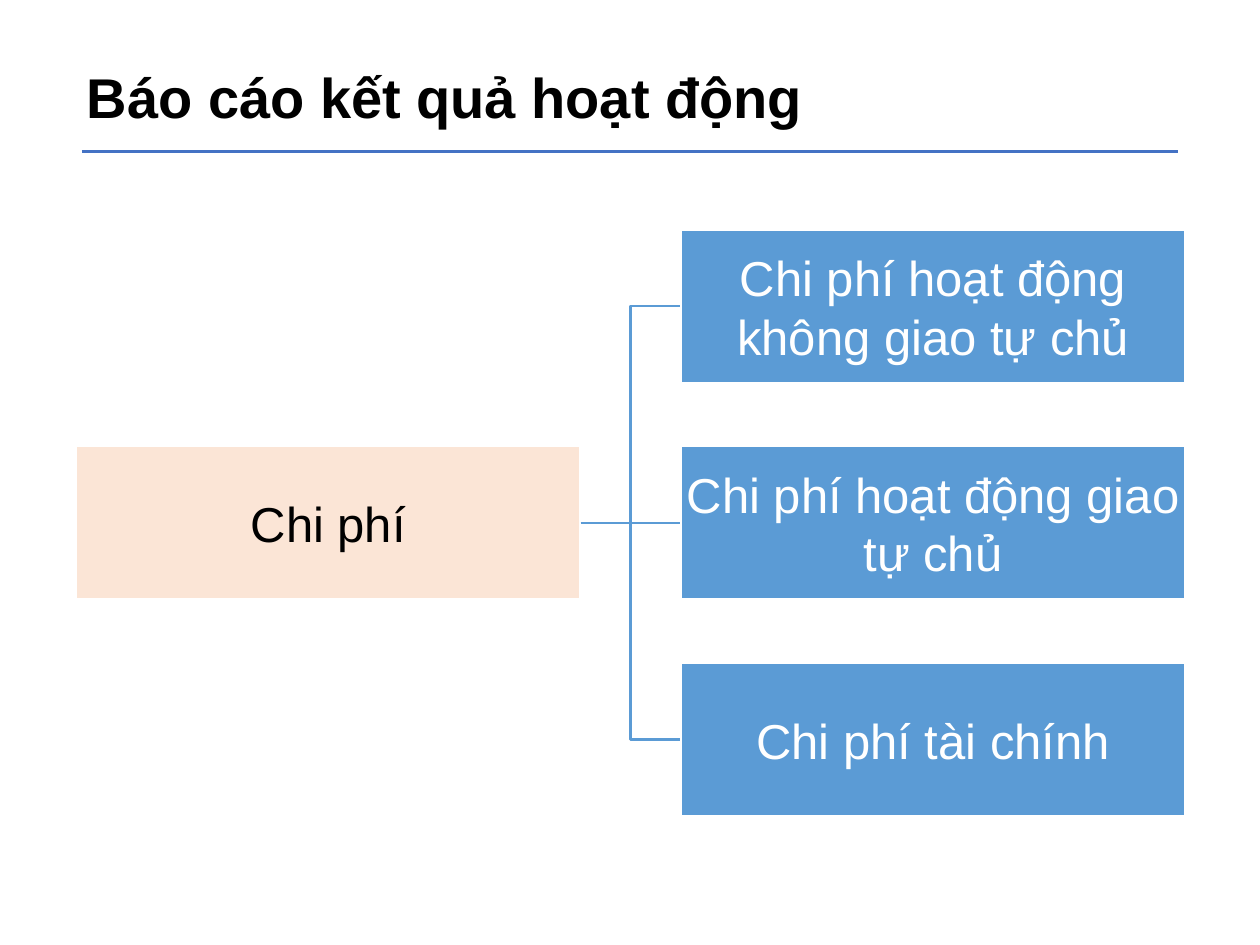
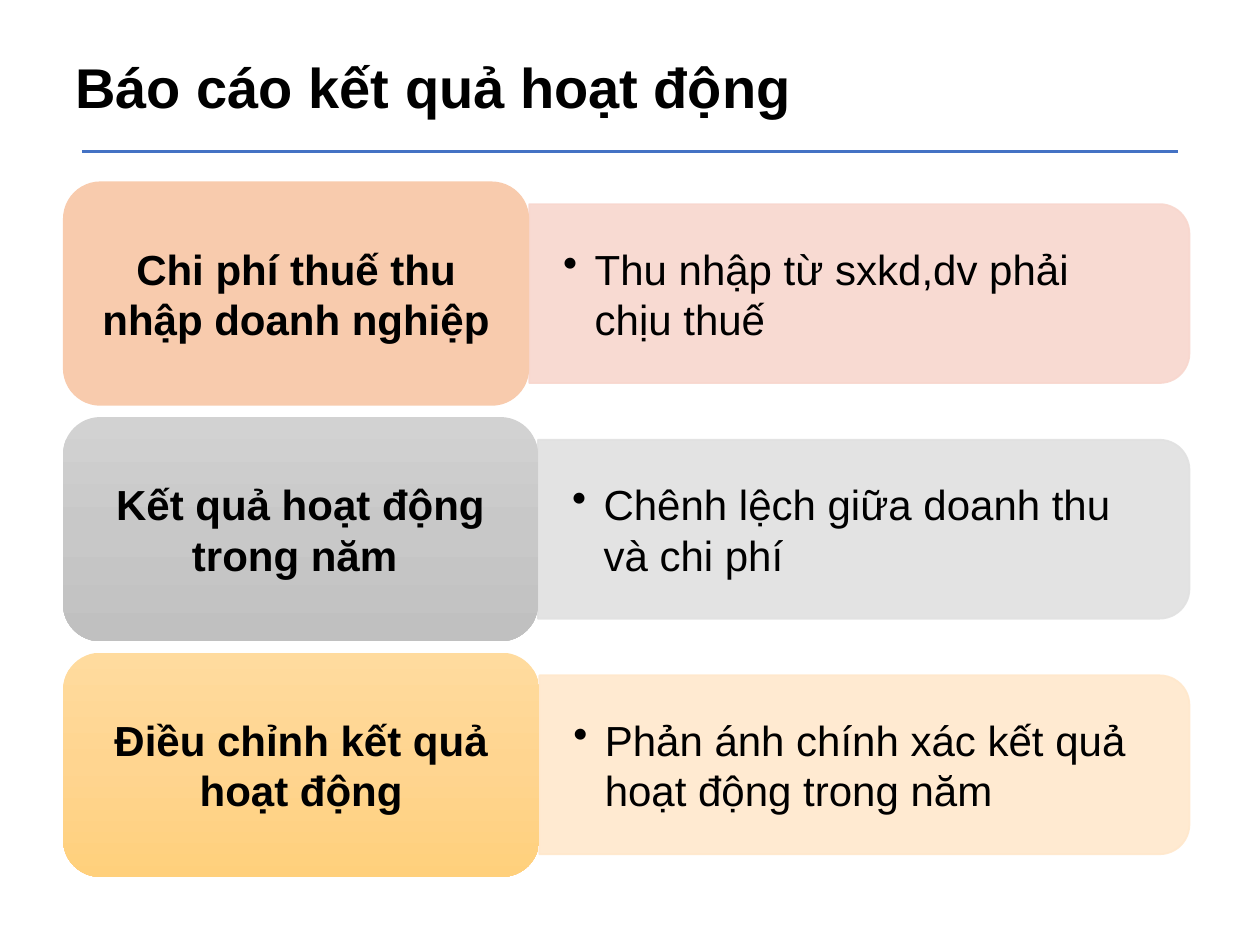
import copy
from dataclasses import dataclass

import pptx
import pptx.dml.color
import pptx.enum.shapes
import pptx.enum.text
import pptx.oxml
import pptx.oxml.ns
import pptx.util

Inches = pptx.util.Inches
Pt = pptx.util.Pt
Shape = pptx.enum.shapes.MSO_SHAPE
Connector = pptx.enum.shapes.MSO_CONNECTOR
Align = pptx.enum.text.PP_ALIGN
Anchor = pptx.enum.text.MSO_ANCHOR
qn = pptx.oxml.ns.qn


@dataclass(frozen=True)
class Theme:
    font: str = "Arial"
    ink: str = "000000"
    white: str = "FFFFFF"
    rule: str = "4472C4"
    branch: str = "5B9BD5"
    root: str = "FBE5D6"
    title_size: int = 32
    branch_size: int = 28
    row_size: int = 24
    line_width: float = 1.5


@dataclass(frozen=True)
class Area:
    left: float
    top: float
    width: float
    height: float

    def lengths(self) -> tuple:
        return tuple(Inches(n) for n in (self.left, self.top, self.width, self.height))


@dataclass(frozen=True)
class Row:
    label: str
    detail: str
    label_width: float
    label_colors: tuple[str, ...]
    detail_color: str


THEME = Theme()
TITLE = "Báo cáo kết quả hoạt động"
BRANCHES = (
    "Chi phí hoạt động không giao tự chủ",
    "Chi phí hoạt động giao tự chủ",
    "Chi phí tài chính",
)
ROWS = (
    Row("Chi phí thuế thu nhập doanh nghiệp", "Thu nhập từ sxkd,dv phải chịu thuế",
        3.7, ("F8CBAD",), "F8D7CE"),
    Row("Kết quả hoạt động trong năm ", "Chênh lệch giữa doanh thu và chi phí",
        3.77, ("D2D2D2", "C8C8C8", "C0C0C0"), "E1E1E1"),
    Row("Điều chỉnh kết quả hoạt động", "Phản ánh chính xác kết quả hoạt động trong năm",
        3.78, ("FFDB9E", "FFD590", "FFD07C"), "FFE8CC"),
)


def rgb(color: str):
    return pptx.dml.color.RGBColor.from_string(color)


def write(box, text: str, size: int, color: str = THEME.ink, bold: bool = False,
          align=Align.CENTER, anchor=Anchor.MIDDLE, insets=(0.1, 0.05)):
    frame = box.text_frame
    frame.text = text
    frame.word_wrap = True
    frame.vertical_anchor = anchor
    frame.margin_left = frame.margin_right = Inches(insets[0])
    frame.margin_top = frame.margin_bottom = Inches(insets[1])
    para = frame.paragraphs[0]
    para.alignment = align
    for span in para.runs:
        span.font.name = THEME.font
        span.font.size = Pt(size)
        span.font.bold = bold
        span.font.color.rgb = rgb(color)


def add_bullet(para, indent: float):
    properties = para._p.get_or_add_pPr()
    properties.set("marL", str(Inches(indent)))
    properties.set("indent", str(-Inches(indent)))
    properties.append(properties.makeelement(qn("a:buChar"), {"char": "•"}))


def add_block(page, kind, area: Area, colors: tuple[str, ...]):
    block = page.shapes.add_shape(kind, *area.lengths())
    block.shadow.inherit = False
    block.line.fill.background()
    if len(colors) == 1:
        block.fill.solid()
        block.fill.fore_color.rgb = rgb(colors[0])
        return block
    block.fill.gradient()
    block.fill.gradient_angle = 270
    stop_list = block._element.spPr.find(".//" + qn("a:gsLst"))
    stop_list.insert(1, copy.deepcopy(stop_list[0]))
    for index, (stop, color) in enumerate(zip(block.fill.gradient_stops, colors)):
        stop.position = index / (len(colors) - 1)
        stop.color.rgb = rgb(color)
    return block


def style_line(line, color: str, width: float = THEME.line_width):
    line.color.rgb = rgb(color)
    line.width = Pt(width)


def add_link(page, kind, color: str, start=(0, 0), end=(0, 0)):
    link = page.shapes.add_connector(kind, *(Inches(n) for n in (*start, *end)))
    style_line(link.line, color)
    properties = link._element.spPr
    properties.append(properties.makeelement(qn("a:effectLst"), {}))
    return link


def add_page(deck, title_left: float, title_top: float):
    page = deck.slides.add_slide(deck.slide_layouts[6])
    add_link(page, Connector.STRAIGHT, THEME.rule, (0.65, 1.2), (9.35, 1.2))
    box = page.shapes.add_textbox(*Area(title_left, title_top, 6.23, 0.64).lengths())
    write(box, TITLE, THEME.title_size, bold=True, align=Align.LEFT, anchor=Anchor.TOP)
    return page


def add_cost_box(page, text: str, left: float, top: float, fill: str, color: str):
    box = add_block(page, Shape.RECTANGLE, Area(left, top, 4.01, 1.22), (fill,))
    style_line(box.line, THEME.white)
    write(box, text, THEME.branch_size, color, insets=(0.02, 0.02))
    return box


def build_cost_tree(deck):
    page = add_page(deck, 0.59, 0.45)
    top, step = 1.82, 1.72
    middle = len(BRANCHES) // 2
    root = add_cost_box(page, "Chi phí", 0.6, top + middle * step, THEME.root, THEME.ink)
    for index, text in enumerate(BRANCHES):
        box = add_cost_box(page, text, 5.4, top + index * step, THEME.branch, THEME.white)
        kind = Connector.STRAIGHT if index == middle else Connector.ELBOW
        link = add_link(page, kind, THEME.branch)
        link.begin_connect(root, 3)
        link.end_connect(box, 1)


def add_detail(page, row: Row, left: float, top: float):
    width, height = 9.44 - left, 1.42
    upright = Area(left + (width - height) / 2, top + (height - width) / 2, height, width)
    panel = add_block(page, Shape.ROUND_2_SAME_RECTANGLE, upright, (row.detail_color,))
    panel.rotation = 90
    style_line(panel.line, row.detail_color, 1)
    for color in panel._element.spPr.iter(qn("a:srgbClr")):
        color.append(color.makeelement(qn("a:alpha"), {"val": "90000"}))
    box = page.shapes.add_textbox(*Area(left, top + 0.07, width - 0.07, 1.28).lengths())
    write(box, row.detail, THEME.row_size, align=Align.LEFT, insets=(0.27, 0.14))
    add_bullet(box.text_frame.paragraphs[0], 0.25)


def build_result_rows(deck):
    page = add_page(deck, 0.5, 0.37)
    left, first_top, step = 0.5, 1.44, 1.87
    for index, row in enumerate(ROWS):
        top = first_top + index * step
        add_detail(page, row, left + row.label_width, top + 0.18)
        label = add_block(page, Shape.ROUNDED_RECTANGLE,
                          Area(left, top, row.label_width, 1.78), row.label_colors)
        write(label, row.label, THEME.row_size, bold=True)


def main():
    deck = pptx.Presentation()
    deck.slide_width = Inches(10)
    deck.slide_height = Inches(7.5)
    build_cost_tree(deck)
    build_result_rows(deck)
    deck.save("out.pptx")


if __name__ == "__main__":
    main()
